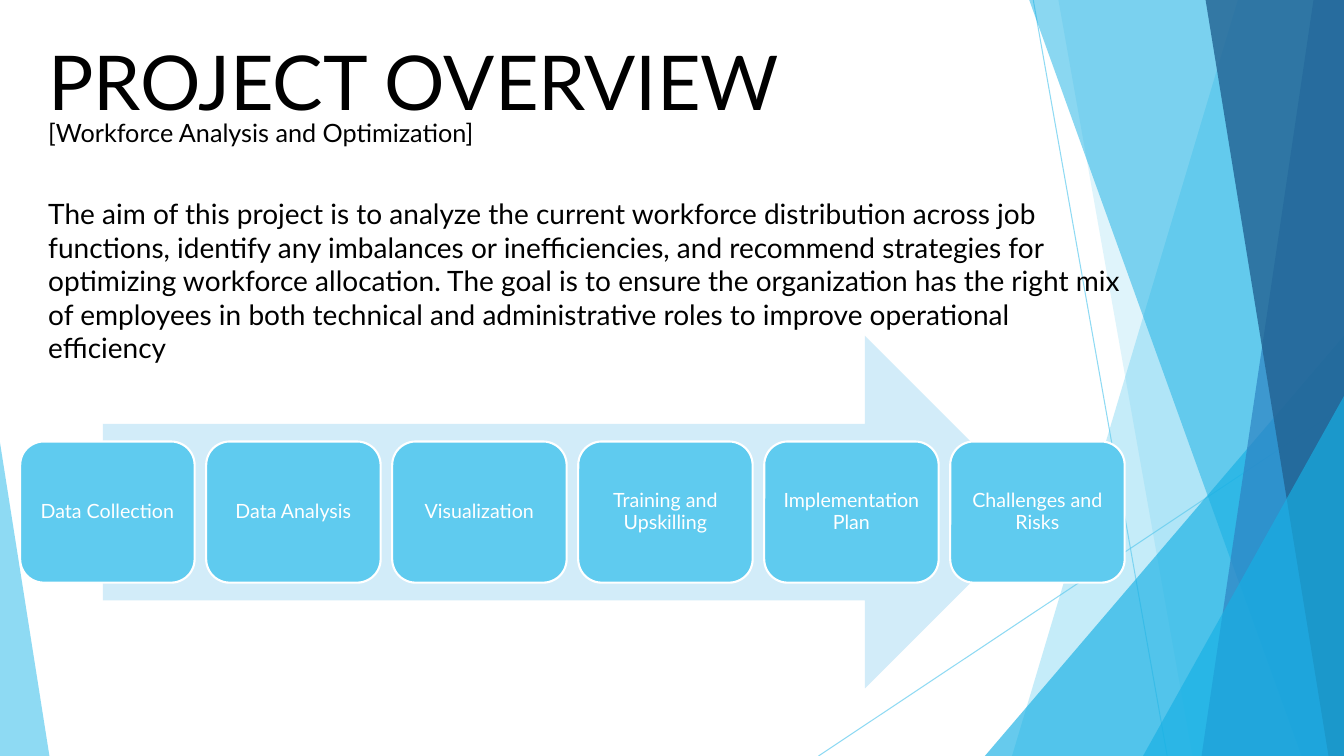
from lxml.etree import SubElement
from pptx import Presentation
from pptx.dml.color import RGBColor
from pptx.enum.shapes import MSO_CONNECTOR, MSO_SHAPE as Preset
from pptx.enum.text import MSO_ANCHOR as Anchor, PP_ALIGN as Align
from pptx.oxml.ns import qn
from pptx.util import Inches, Pt

BLACK = RGBColor(0x00, 0x00, 0x00)
WHITE = RGBColor(0xFF, 0xFF, 0xFF)
SKY = RGBColor(0x5F, 0xCB, 0xEF)
CYAN = RGBColor(0x17, 0xB0, 0xE4)
BLUE = RGBColor(0x2E, 0x83, 0xC3)
NAVY = RGBColor(0x22, 0x62, 0x92)
PALE = RGBColor(0xD2, 0xEC, 0xF9)

STEPS = [
    "Data Collection",
    "Data Analysis",
    "Visualization",
    "Training and Upskilling",
    "Implementation Plan",
    "Challenges and Risks",
]
AIM = (
    "The aim of this project is to analyze the current workforce distribution "
    "across job functions, identify any imbalances or inefficiencies, and "
    "recommend strategies for optimizing workforce allocation. The goal is to "
    "ensure the organization has the right mix of employees in both technical "
    "and administrative roles to improve operational efficiency"
)


class SlideBuilder:
    font_name = "Lato"

    def __init__(self, deck):
        self.width, self.height = deck.slide_width, deck.slide_height
        self.shapes = deck.slides.add_slide(deck.slide_layouts[6]).shapes

    def place(self, x_percent, y_percent):
        return round(x_percent * self.width / 100), round(y_percent * self.height / 100)

    def paint(self, shape, color, opacity=100):
        shape.shadow.inherit = False
        shape.fill.solid()
        shape.fill.fore_color.rgb = color
        shape.line.fill.background()
        self.set_opacity(shape._element.spPr, opacity)

    def set_opacity(self, parent, opacity):
        if opacity < 100:
            color = parent.find(qn("a:solidFill"))[0]
            SubElement(color, qn("a:alpha")).set("val", str(opacity * 1000))

    def line(self, start, end, color, opacity):
        connector = self.shapes.add_connector(
            MSO_CONNECTOR.STRAIGHT, *self.place(*start), *self.place(*end)
        )
        connector.line.width = Pt(0.75)
        connector.line.color.rgb = color
        properties = connector._element.spPr
        self.set_opacity(properties.find(qn("a:ln")), opacity)
        SubElement(properties, qn("a:effectLst"))

    def facet(self, top_left, bottom_left, color, opacity):
        outline = self.shapes.build_freeform(*self.place(top_left, 0))
        corners = [(100, 0), (100, 100), (bottom_left, 100)]
        outline.add_line_segments([self.place(*corner) for corner in corners])
        self.paint(outline.convert_to_shape(), color, opacity)

    def shape(self, preset, left, top, width, height, color, opacity=100):
        shape = self.shapes.add_shape(
            preset, *self.place(left, top), *self.place(width, height)
        )
        self.paint(shape, color, opacity)
        return shape

    def corner_triangle(self, left, top, right, peak, color, opacity):
        triangle = self.shape(
            Preset.ISOSCELES_TRIANGLE, left, top, right - left, 100 - top, color, opacity
        )
        triangle.adjustments[0] = peak

    def set_text(self, frame, text, size, color):
        frame.word_wrap = True
        para = frame.paragraphs[0]
        para.text = text
        para.font.name = self.font_name
        para.font.size = Pt(size)
        para.font.color.rgb = color
        return para

    def text(self, left, top, width, height, text, size):
        box = self.shapes.add_textbox(*self.place(left, top), *self.place(width, height))
        self.set_text(box.text_frame, text, size, BLACK)

    def step(self, left, top, width, height, text):
        box = self.shape(Preset.ROUNDED_RECTANGLE, left, top, width, height, SKY)
        box.line.color.rgb = WHITE
        box.line.width = Pt(1.5)
        frame = box.text_frame
        frame.margin_left = frame.margin_right = Pt(4.2)
        frame.margin_top = frame.margin_bottom = Pt(4.2)
        frame.vertical_anchor = Anchor.MIDDLE
        para = self.set_text(frame, text, 14, WHITE)
        para.alignment = Align.CENTER
        para.line_spacing = 0.9


def draw_backdrop(page):
    page.line((76.88, 0), (86.85, 100), SKY, 70)
    page.line((100, 53.73), (60.9, 100), SKY, 70)
    page.facet(92.1, 75.3, SKY, 36)
    page.facet(78.75, 88.73, SKY, 20)
    page.corner_triangle(73.28, 44.4, 100, 1, CYAN, 66)
    page.facet(76.58, 96.83, CYAN, 50)
    page.facet(97.73, 89.4, BLUE, 70)
    page.facet(89.7, 98.85, NAVY, 80)
    page.corner_triangle(85.05, 52.4, 100, 1, CYAN, 66)
    page.corner_triangle(0, 58.53, 3.68, 0, SKY, 70)


def draw_process(page):
    page.shape(Preset.RIGHT_ARROW, 7.65, 44.4, 69.83, 46.67, PALE)
    first, pitch = 1.5, 13.84
    for index, name in enumerate(STEPS):
        page.step(first + index * pitch, 58.4, 12.98, 18.67, name)


def main():
    deck = Presentation()
    deck.slide_width, deck.slide_height = Inches(13.33), Inches(7.5)
    page = SlideBuilder(deck)
    draw_backdrop(page)
    margin = 2.85
    page.text(margin, 4, 58.58, 13.47, "PROJECT OVERVIEW", 54)
    page.text(margin, 14.8, 64.05, 5.33, "[Workforce Analysis and Optimization]", 18)
    draw_process(page)
    page.text(margin, 25.33, 82.2, 23.73, AIM, 20)
    deck.save("out.pptx")


if __name__ == "__main__":
    main()
